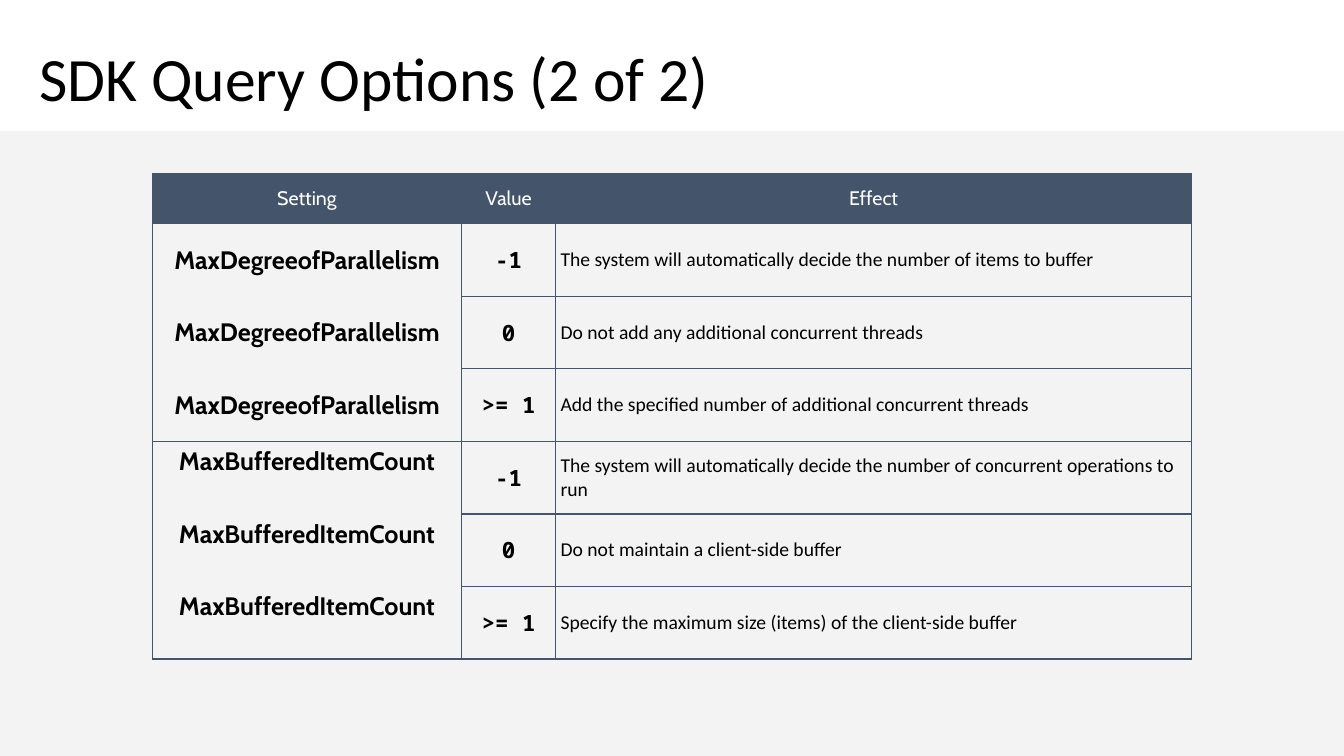
from pptx import Presentation
from pptx.dml.color import RGBColor
from pptx.enum.shapes import MSO_SHAPE as SHAPE
from pptx.enum.text import MSO_ANCHOR as ANCHOR, MSO_AUTO_SIZE as AUTO, PP_ALIGN as ALIGN
from pptx.oxml.ns import qn
from pptx.util import Pt
from lxml.etree import SubElement

SCALE = 9144  # 100 px to the inch
NAVY, BLACK, WHITE, GREY = "44546A", "000000", "FFFFFF", "F2F2F2"

TITLE = dict(name="Calibri", size=Pt(44), bold=False)
HEADER = dict(name="Cabin", size=Pt(14), bold=False)
SETTING = dict(name="Cabin", size=Pt(18), bold=True)
VALUE = dict(name="Noto Sans Mono", size=Pt(16), bold=True)
EFFECT = dict(name="Calibri", size=Pt(14), bold=False)

COLUMNS = [("Setting", 307), ("Value", 93), ("Effect", 631)]
HEADER_H = 50
OPTIONS = [
    ("MaxDegreeofParallelism", ANCHOR.MIDDLE, [
        ("-1", "The system will automatically decide the number of items to buffer"),
        ("0", "Do not add any additional concurrent threads"),
        (">= 1", "Add the specified number of additional concurrent threads"),
    ]),
    ("MaxBufferedItemCount", ANCHOR.TOP, [
        ("-1", "The system will automatically decide the number of concurrent operations to run"),
        ("0", "Do not maintain a client-side buffer"),
        (">= 1", "Specify the maximum size (items) of the client-side buffer"),
    ]),
]
ROW_COUNT = sum(len(effects) for _, _, effects in OPTIONS)


def px(n):
    return round(n * SCALE)


def color(value):
    return RGBColor.from_string(value)


def set_attrs(obj, **values):
    for key, value in values.items():
        setattr(obj, key, value)


def write(tf, text, font, fill, align):
    p = tf.paragraphs[0]
    p.alignment = align
    r = p.add_run()
    r.text = text
    set_attrs(r.font, **font)
    r.font.color.rgb = color(fill)
    return p


def set_borders(cell, sides):
    """Draw the sides named in a string of L, R, T and B; clear the others."""
    tcPr = cell._tc.get_or_add_tcPr()
    for side in "LRTB":
        ln = SubElement(tcPr, qn(f"a:ln{side}"), w=str(Pt(1)))
        if side in sides:
            solid = SubElement(ln, qn("a:solidFill"))
            SubElement(solid, qn("a:srgbClr"), val=NAVY)
        else:
            SubElement(ln, qn("a:noFill"))


def style_cell(cell, sides="", back=None):
    set_borders(cell, sides)
    if back:
        cell.fill.solid()
        cell.fill.fore_color.rgb = color(back)
    else:
        cell.fill.background()


def write_cell(cell, text, font, ink=BLACK, align=ALIGN.CENTER, anchor=ANCHOR.MIDDLE):
    style_cell(cell)
    inset = px(5)
    set_attrs(cell, vertical_anchor=anchor, margin_left=inset, margin_right=inset,
              margin_top=inset, margin_bottom=inset)
    write(cell.text_frame, text, font, ink, align)


def add_title(s, x, y, w, h, text):
    title = s.shapes.title
    set_attrs(title, left=px(x), top=px(y), width=px(w), height=px(h))
    tf = title.text_frame
    set_attrs(tf, vertical_anchor=ANCHOR.MIDDLE, word_wrap=True, auto_size=AUTO.NONE)
    write(tf, text, TITLE, BLACK, ALIGN.LEFT).line_spacing = 0.9


def add_backdrop(s, x, y, w, h):
    """Place the translucent grey panel behind the title."""
    sp = s.shapes.add_shape(SHAPE.RECTANGLE, px(x), px(y), px(w), px(h))
    sp.shadow.inherit = False
    sp.line.fill.background()
    sp.fill.solid()
    sp.fill.fore_color.rgb = color(GREY)
    clr = sp.element.spPr.find(f"{qn('a:solidFill')}/{qn('a:srgbClr')}")
    SubElement(clr, qn("a:alpha"), val="89000")
    s.shapes.title.element.addprevious(sp.element)


def add_table(s, x, y, w, h):
    """Add an unstyled table with the column widths and row heights of the options."""
    frame = s.shapes.add_table(ROW_COUNT + 1, len(COLUMNS), px(x), px(y), px(w), px(h))
    table = frame.table
    set_attrs(table, first_row=False, horz_banding=False)
    for column, (_, width) in zip(table.columns, COLUMNS):
        column.width = px(width)
    for i, row in enumerate(table.rows):
        row.height = px((h - HEADER_H) / ROW_COUNT if i else HEADER_H)
    return table


def add_grid(s, *box):
    """Draw the ruled grid that lies under the text."""
    table = add_table(s, *box)
    for i in range(len(COLUMNS)):
        style_cell(table.cell(0, i), "LRTB", NAVY)
    row = 1
    for _, _, effects in OPTIONS:
        for i in range(len(effects)):
            sides = "LR" + "T" * (i == 0) + "B" * (i == len(effects) - 1)
            style_cell(table.cell(row, 0), sides)
            for col in range(1, len(COLUMNS)):
                style_cell(table.cell(row, col), "LRTB")
            row += 1


def add_options(s, *box):
    table = add_table(s, *box)
    for i, (name, _) in enumerate(COLUMNS):
        write_cell(table.cell(0, i), name, HEADER, ink=WHITE)
    row = 1
    for setting, anchor, effects in OPTIONS:
        for value, effect in effects:
            write_cell(table.cell(row, 0), setting, SETTING, anchor=anchor)
            write_cell(table.cell(row, 1), value, VALUE)
            write_cell(table.cell(row, 2), effect, EFFECT, align=ALIGN.LEFT)
            row += 1


def main():
    prs = Presentation()
    set_attrs(prs, slide_width=px(1333), slide_height=px(750))
    s = prs.slides.add_slide(prs.slide_layouts[5])
    add_title(s, 29, 32, 1275, 98, "SDK Query Options (2 of 2)")
    add_backdrop(s, 0, 130, 1333, 620)
    table_box = 151, 172, 1031, 482
    add_grid(s, *table_box)
    add_options(s, *table_box)
    prs.save("out.pptx")


if __name__ == "__main__":
    main()
